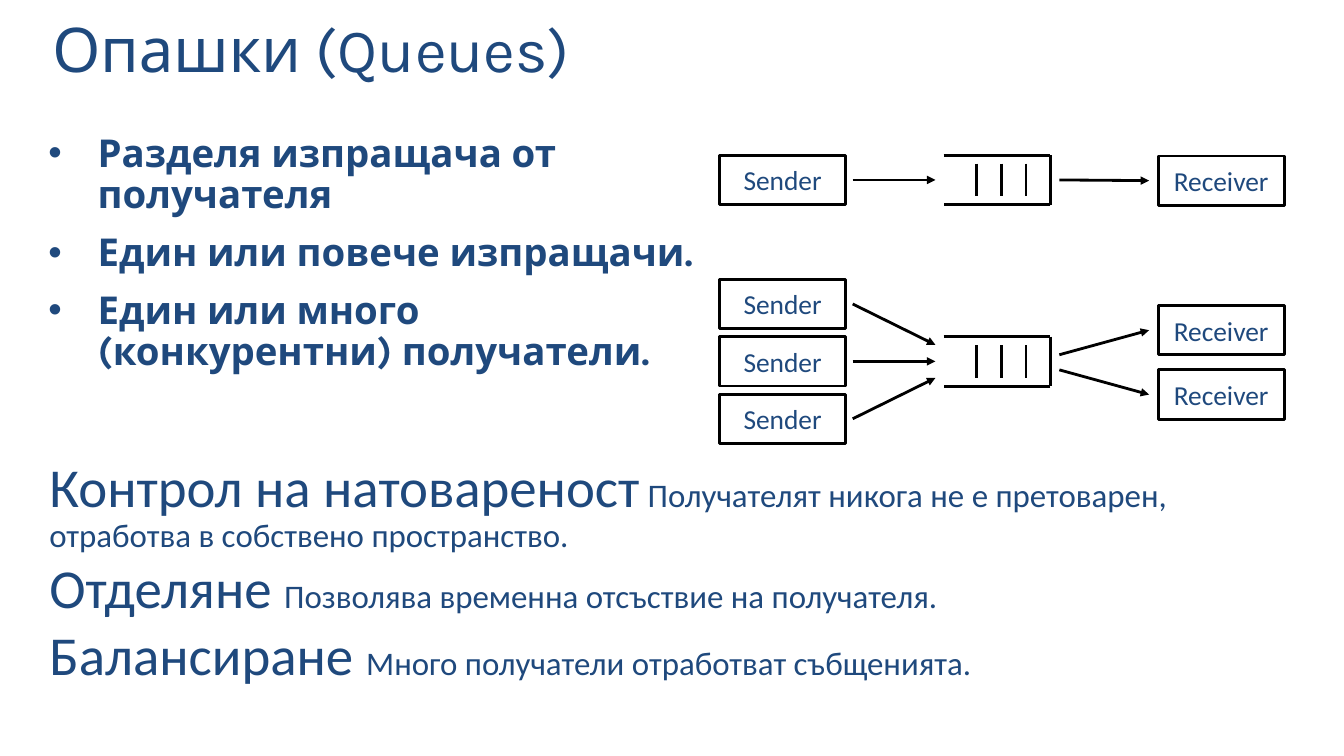
import dataclasses

import lxml.etree
import pptx
import pptx.dml.color
import pptx.enum.shapes
import pptx.enum.text
import pptx.oxml.ns
import pptx.util

Pt = pptx.util.Pt
qn = pptx.oxml.ns.qn
ANCHOR = pptx.enum.text.MSO_ANCHOR
ALIGN = pptx.enum.text.PP_ALIGN


@dataclasses.dataclass(frozen=True)
class Theme:
    ink: str = "1F497D"
    line: str = "000000"
    line_width: float = 2
    heading_font: str = "Karla"
    body_font: str = "Calibri"
    title_size: float = 44
    bullet_size: float = 27.4
    term_size: float = 39.2
    detail_size: float = 23.5
    label_size: float = 19.6


class Deck:
    box_width = 90
    box_height = 35.3

    def __init__(self, prs, theme):
        self.theme = theme
        self.s = prs.slides.add_slide(prs.slide_layouts[5])

    def color(self, value):
        return pptx.dml.color.RGBColor.from_string(value)

    def run(self, p, text, size, font, bold=False):
        r = p.add_run()
        r.text = text
        r.font.size = Pt(size)
        r.font.name = font
        r.font.bold = bold
        r.font.color.rgb = self.color(self.theme.ink)

    def frame(self, sp, inset_x=7.2, inset_y=3.6, anchor=ANCHOR.TOP):
        tf = sp.text_frame
        tf.word_wrap = True
        tf.auto_size = pptx.enum.text.MSO_AUTO_SIZE.NONE
        tf.vertical_anchor = anchor
        tf.margin_left = tf.margin_right = Pt(inset_x)
        tf.margin_top = tf.margin_bottom = Pt(inset_y)
        return tf

    def stroke(self, sp):
        sp.line.color.rgb = self.color(self.theme.line)
        sp.line.width = Pt(self.theme.line_width)

    def title(self, text, x, y, w, h):
        sp = self.s.shapes.title
        sp.left, sp.top, sp.width, sp.height = Pt(x), Pt(y), Pt(w), Pt(h)
        p = self.frame(sp).paragraphs[0]
        p.alignment = ALIGN.LEFT
        p.line_spacing = 0.8
        self.run(p, text, self.theme.title_size, self.theme.heading_font)

    def paragraphs(self, x, y, w, h, count, space, inset_x=7.2, inset_y=3.6):
        sp = self.s.shapes.add_textbox(Pt(x), Pt(y), Pt(w), Pt(h))
        tf = self.frame(sp, inset_x, inset_y)
        for i in range(count):
            p = tf.paragraphs[0] if i == 0 else tf.add_paragraph()
            p.line_spacing = 0.9
            p.space_before = Pt(space)
            yield p

    def bullets(self, items, x, y, w, h):
        t = self.theme
        for p, text in zip(self.paragraphs(x, y, w, h, len(items), 11.8), items):
            pPr = p._p.get_or_add_pPr()
            pPr.set("marL", str(Pt(35.3)))
            pPr.set("indent", str(-Pt(35.3)))
            lxml.etree.SubElement(pPr, qn("a:buFont"), typeface="Arial")
            lxml.etree.SubElement(pPr, qn("a:buChar"), char="•")
            self.run(p, text, t.bullet_size, t.heading_font, bold=True)

    def benefits(self, items, x, y, w, h):
        t = self.theme
        rows = self.paragraphs(x, y, w, h, len(items), 5, 14.4, 11.5)
        for p, (term, detail) in zip(rows, items):
            self.run(p, term, t.term_size, t.body_font)
            self.run(p, detail, t.detail_size, t.body_font)

    def box(self, text, x, y):
        sp = self.s.shapes.add_shape(
            pptx.enum.shapes.MSO_SHAPE.RECTANGLE,
            Pt(x), Pt(y), Pt(self.box_width), Pt(self.box_height))
        sp.shadow.inherit = False
        sp.fill.background()
        self.stroke(sp)
        p = self.frame(sp, 0, 3.6, ANCHOR.MIDDLE).paragraphs[0]
        p.alignment = ALIGN.CENTER
        self.run(p, text, self.theme.label_size, self.theme.body_font)

    def line(self, shapes, x1, y1, x2, y2):
        sp = shapes.add_connector(
            pptx.enum.shapes.MSO_CONNECTOR.STRAIGHT, Pt(x1), Pt(y1), Pt(x2), Pt(y2))
        self.stroke(sp)
        lxml.etree.SubElement(sp._element.spPr, qn("a:effectLst"))
        return sp

    def arrow(self, x1, y1, x2, y2):
        sp = self.line(self.s.shapes, x1, y1, x2, y2)
        lxml.etree.SubElement(sp.line._get_or_add_ln(), qn("a:tailEnd"), type="triangle")

    def queue(self, y):
        left, right, bottom = 674, 750.2, y + self.box_height
        shapes = self.s.shapes.add_group_shape().shapes
        self.line(shapes, left, y, right, y)
        self.line(shapes, right, y, right, bottom)
        self.line(shapes, right, bottom, left, bottom)
        for i in range(3):
            x = 697.7 + i * 17.6
            self.line(shapes, x, y + 6, x, bottom - 6)

    def sender(self, y, arrow_end):
        self.box("Sender", 514, y)
        self.arrow(609.1, y + self.box_height / 2, 668.2, arrow_end)

    def receiver(self, y, arrow_start):
        self.box("Receiver", 827.3, y)
        self.arrow(756.7, arrow_start, 820.8, y + self.box_height / 2)


def main():
    prs = pptx.Presentation()
    prs.slide_width, prs.slide_height = Pt(960), Pt(540)
    deck = Deck(prs, Theme())

    deck.title("Опашки (Queues)", 30.2, 14.4, 907.2, 83.5)
    deck.bullets([
        "Разделя изпращача от получателя",
        "Един или повече изпращачи.",
        "Един или много (конкурентни) получатели.",
    ], 27.4, 92.2, 486.7, 337)
    deck.benefits([
        ("Контрол на натовареност",
         " Получателят никога не е претоварен, отработва в собствено пространство."),
        ("Отделяне ", "Позволява временна отсъствие на получателя."),
        ("Балансиране ", "Много получатели отработват събщенията."),
    ], 20.9, 316.8, 882.7, 219.6)

    single_top, shared_top = 110.9, 240.5
    middle = deck.box_height / 2

    deck.queue(single_top)
    deck.sender(single_top, single_top + middle)
    deck.receiver(single_top + 0.5, single_top + middle)

    deck.queue(shared_top)
    for i in (-1, 0, 1):
        deck.sender(shared_top + i * 41, shared_top + middle + i * 11.8)
    for top, start in ((218.2, 253.4), (264.2, 264.2)):
        deck.receiver(top, start)

    prs.save("out.pptx")


if __name__ == "__main__":
    main()
